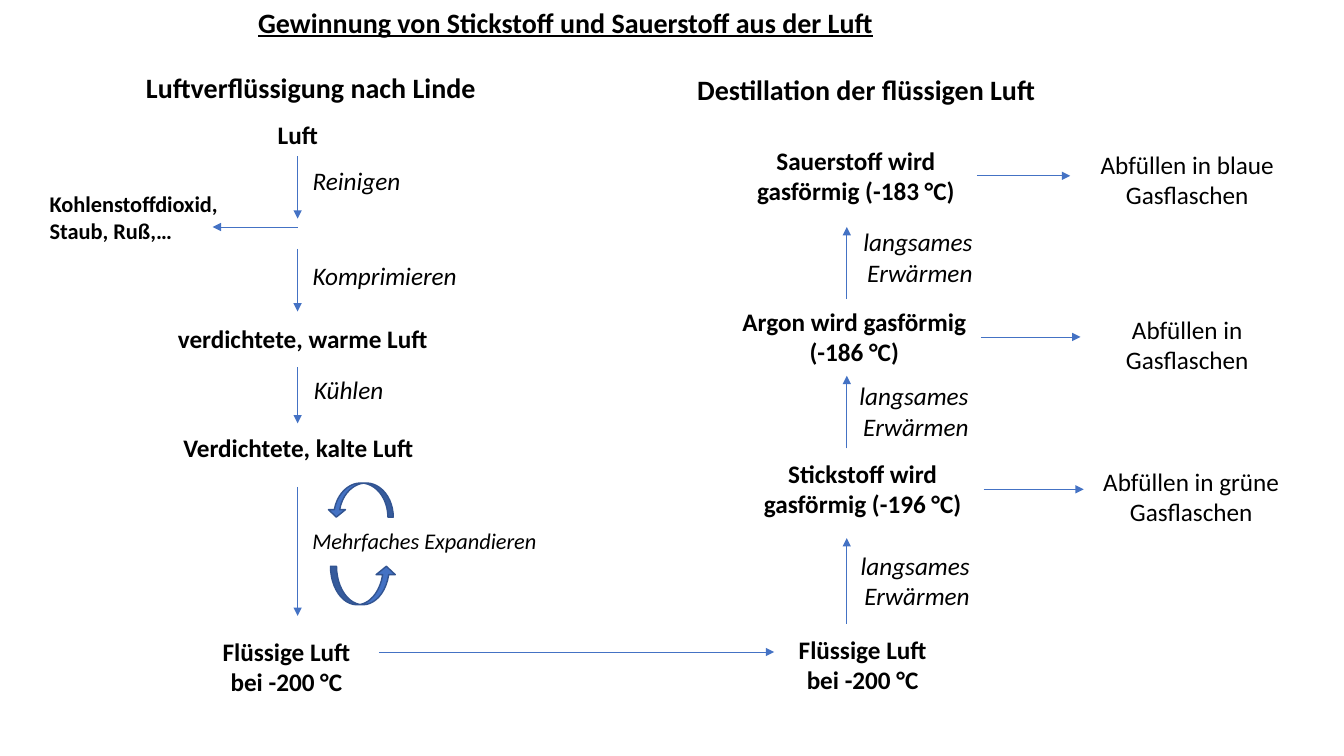
from lxml import etree
from pptx import Presentation
from pptx.dml.color import RGBColor
from pptx.enum.shapes import MSO_CONNECTOR, MSO_SHAPE
from pptx.enum.text import MSO_ANCHOR, MSO_AUTO_SIZE, PP_ALIGN
from pptx.oxml.ns import qn
from pptx.util import Cm, Pt

LEFT, CENTER, RIGHT = PP_ALIGN.LEFT, PP_ALIGN.CENTER, PP_ALIGN.RIGHT
TOP = MSO_ANCHOR.TOP
GROW = MSO_AUTO_SIZE.SHAPE_TO_FIT_TEXT
STRAIGHT = MSO_CONNECTOR.STRAIGHT
CURVED_ARROW = MSO_SHAPE.CURVED_UP_ARROW
RIGHT_SIDE = 3

BLACK = RGBColor(0x00, 0x00, 0x00)
BLUE = RGBColor(0x44, 0x72, 0xC4)
DARK_BLUE = RGBColor(0x32, 0x54, 0x91)
FONT = "Calibri"
ONE_LINE, TWO_LINES = 1.02, 1.8


def write_text(shape, text, size, align, bold=False, italic=False, underline=False):
    """Fill a shape with text, one paragraph per line, in one format."""
    frame = shape.text_frame
    frame.word_wrap = True
    frame.auto_size = GROW
    frame.vertical_anchor = TOP
    frame.text = text
    for paragraph in frame.paragraphs:
        paragraph.alignment = align
        font = paragraph.font
        font.name = FONT
        font.size = Pt(size)
        font.bold = bold
        font.italic = italic
        font.underline = underline
        font.color.rgb = BLACK


def add_label(slide, left, top, width, height, text, size=18, align=CENTER, **style):
    """Add a text box, measured in centimetres."""
    box = slide.shapes.add_textbox(Cm(left), Cm(top), Cm(width), Cm(height))
    write_text(box, text, size, align, **style)
    return box


def add_arrow(slide, start_x, start_y, end_x, end_y):
    """Add a thin blue arrow, measured in centimetres."""
    arrow = slide.shapes.add_connector(
        STRAIGHT, Cm(start_x), Cm(start_y), Cm(end_x), Cm(end_y))
    arrow.line.color.rgb = BLUE
    arrow.line.width = Pt(0.5)
    etree.SubElement(arrow.line._get_or_add_ln(), qn("a:tailEnd"), type="triangle")
    etree.SubElement(arrow._element.spPr, qn("a:effectLst"))
    return arrow


def add_curved_arrow(slide, left, top, height, rotation):
    """Add one half of the expansion cycle."""
    shape = slide.shapes.add_shape(
        CURVED_ARROW, Cm(left), Cm(top), Cm(1.65), Cm(height))
    shape.rotation = rotation
    for index, value in enumerate((0.157, 0.5, 0.219)):
        shape.adjustments[index] = value
    shape.shadow.inherit = False
    shape.fill.solid()
    shape.fill.fore_color.rgb = BLUE
    shape.line.color.rgb = DARK_BLUE
    shape.line.width = Pt(1)


def add_title(slide):
    """Move and format the title placeholder."""
    title = slide.shapes.title
    title.left, title.top, title.width, title.height = Cm(6.25), Cm(0), Cm(17.42), Cm(1.12)
    write_text(title, "Gewinnung von Stickstoff und Sauerstoff aus der Luft",
               20, LEFT, bold=True, underline=True)


def add_liquefaction(slide, left, top):
    """Draw the steps from air down to liquid air."""
    add_label(slide, left + 2.43, top + 0.15, 9.32, 1.12,
              "Luftverflüssigung nach Linde", 20, LEFT, bold=True)
    states = (
        (4.56, 1.37, 3.89, ONE_LINE, "Luft"),
        (3.01, 6.53, 7.24, ONE_LINE, "verdichtete, warme Luft"),
        (2.81, 9.27, 7.42, ONE_LINE, "Verdichtete, kalte Luft"),
        (3.83, 14.4, 4.78, TWO_LINES, "Flüssige Luft\nbei -200 °C"),
    )
    for x, y, width, height, text in states:
        add_label(slide, left + x, top + y, width, height, text, bold=True)

    steps = (
        (6.47, 2.54, 2.87, "Reinigen"),
        (6.49, 4.93, 4.27, "Komprimieren"),
        (4.36, 7.8, 4.55, "Kühlen"),
    )
    for x, y, width, text in steps:
        add_label(slide, left + x, top + y, width, ONE_LINE, text,
                  align=RIGHT, italic=True)
    add_label(slide, left + 6.62, top + 11.66, 6.48, 0.94,
              "Mehrfaches Expandieren", 16, LEFT, italic=True)
    add_label(slide, left, top + 3.17, 5.31, 1.63,
              "Kohlenstoffdioxid, Staub, Ruß,…", 16, LEFT, bold=True)

    axis = left + 6.5
    for start, end in ((2.44, 4.01), (4.77, 6.35), (7.75, 9.17), (10.77, 14.02)):
        add_arrow(slide, axis, top + start, axis, top + end)
    add_arrow(slide, axis, top + 4.22, left + 4.36, top + 4.22)
    add_curved_arrow(slide, left + 7.26, top + 10.67, 0.86, 180)
    add_curved_arrow(slide, left + 7.33, top + 12.77, 0.97, 0)


def add_distillation(slide, left, top):
    """Draw the gases leaving liquid air and their bottling."""
    add_label(slide, left + 0.32, top + 0.2, 9.32, 1.12,
              "Destillation der flüssigen Luft", 20, LEFT, bold=True)
    add_label(slide, left + 2.35, top + 14.35, 4.78, TWO_LINES,
              "Flüssige Luft\nbei -200 °C", bold=True)
    gases = (
        (1.52, 2.03, 6.1, "Sauerstoff wird gasförmig (-183 °C)",
         9.97, 9.87, 2.13, "Abfüllen in blaue Gasflaschen"),
        (1.34, 6.09, 6.38, "Argon wird gasförmig (-186 °C)",
         10.23, 9.87, 6.3, "Abfüllen in Gasflaschen"),
        (1.69, 9.93, 6.1, "Stickstoff wird gasförmig (-196 °C)",
         10.31, 9.97, 10.13, "Abfüllen in grüne Gasflaschen"),
    )
    for x, y, width, gas, arrow_end, bottle_x, bottle_y, bottling in gases:
        box = add_label(slide, left + x, top + y, width, TWO_LINES, gas, bold=True)
        middle = top + y + TWO_LINES / 2
        arrow = add_arrow(slide, left + x + width, middle, left + arrow_end, middle)
        arrow.begin_connect(box, RIGHT_SIDE)
        add_label(slide, left + bottle_x, top + bottle_y, 6.1, TWO_LINES, bottling)

    axis = left + 4.34
    heatings = ((6.04, 4.22, 2.35, 4.09), (9.8, 7.97, 2.25, 7.97),
                (14.22, 12.06, 2.28, 12.24))
    for start, end, x, y in heatings:
        add_arrow(slide, axis, top + start, axis, top + end)
        add_label(slide, left + x, top + y, 5.41, TWO_LINES,
                  "langsames Erwärmen", align=RIGHT, italic=True)


def main():
    """Build and save the slide."""
    presentation = Presentation()
    presentation.slide_width, presentation.slide_height = Cm(33.87), Cm(19.05)
    slide = presentation.slides.add_slide(presentation.slide_layouts[5])
    add_title(slide)
    add_liquefaction(slide, 1, 1.5)
    add_distillation(slide, 17, 1.5)
    add_arrow(slide, 9.55, 16.43, 19.51, 16.43)
    presentation.save("out.pptx")


if __name__ == "__main__":
    main()
